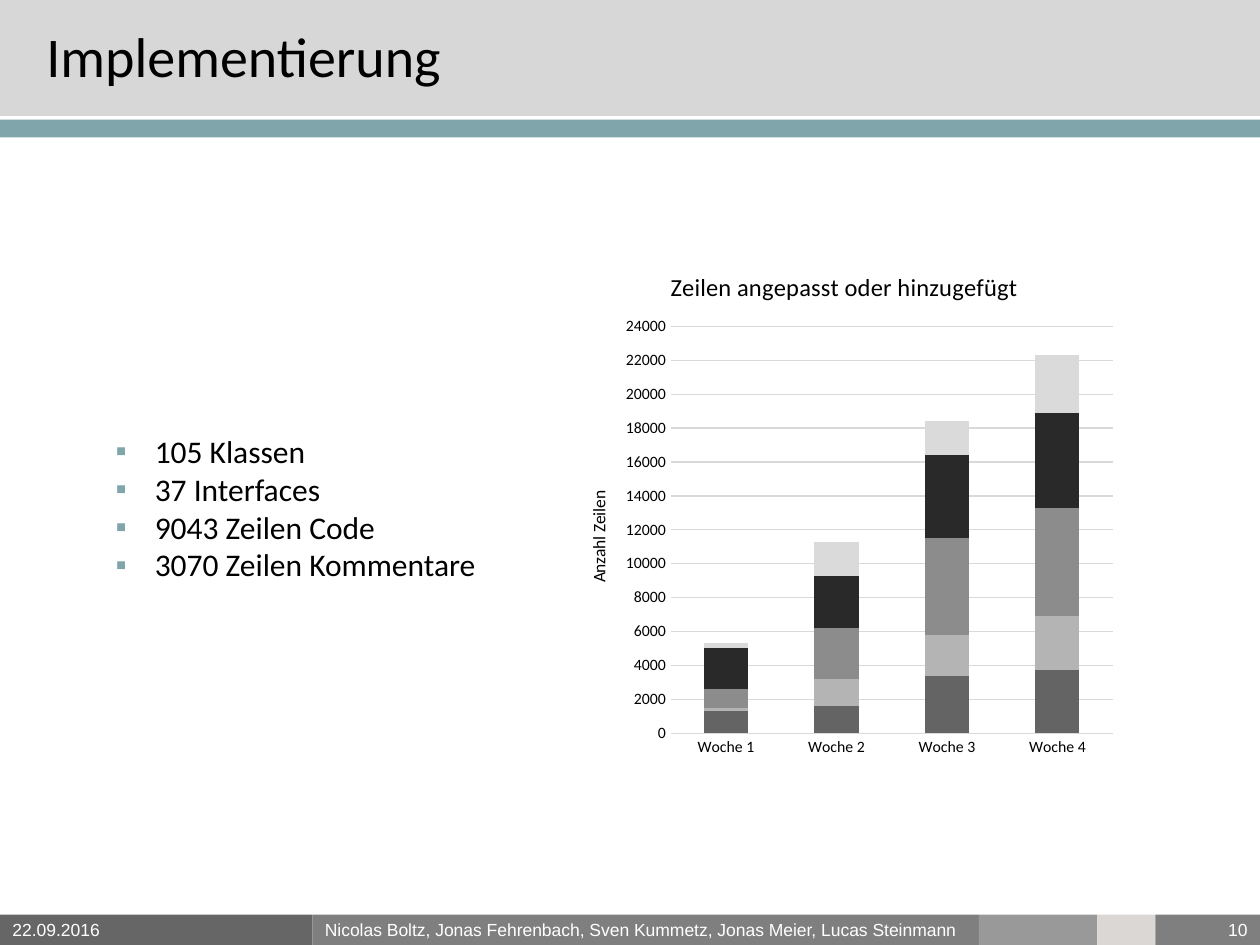
from dataclasses import dataclass

from lxml import etree
from pptx import Presentation
from pptx.chart.data import CategoryChartData
from pptx.dml.color import RGBColor
from pptx.enum.chart import XL_CHART_TYPE, XL_TICK_MARK
from pptx.enum.shapes import MSO_SHAPE
from pptx.enum.text import MSO_ANCHOR, PP_ALIGN
from pptx.oxml import parse_xml
from pptx.oxml.ns import nsdecls, qn
from pptx.util import Inches, Pt

RECTANGLE = MSO_SHAPE.RECTANGLE
STACKED = XL_CHART_TYPE.COLUMN_STACKED
NO_TICK = XL_TICK_MARK.NONE
TOP, MIDDLE = MSO_ANCHOR.TOP, MSO_ANCHOR.MIDDLE
LEFT, RIGHT = PP_ALIGN.LEFT, PP_ALIGN.RIGHT


@dataclass(frozen=True)
class Theme:
    body_font: str = "Calibri"
    footer_font: str = "Arial"
    text: str = "000000"
    footer_text: str = "FFFFFF"
    accent: str = "80A5AB"
    header: str = "D7D7D7"
    grid: str = "D9D9D9"
    title_size: int = 32
    body_size: int = 18
    chart_title_size: int = 14
    footer_size: int = 10
    axis_title_size: int = 10
    axis_size: int = 9


THEME = Theme()
TITLE = "Implementierung"
FACTS = ["105 Klassen", "37 Interfaces", "9043 Zeilen Code", "3070 Zeilen Kommentare"]
HEADER_BANDS = [(0, 0.92, THEME.header), (0.95, 0.14, THEME.accent)]
FOOTER = [
    (0, 2.48, "666666", "22.09.2016", LEFT),
    (2.48, 5.29, "7F7F7F", "Nicolas Boltz, Jonas Fehrenbach, Sven Kummetz, Jonas Meier, Lucas Steinmann", LEFT),
    (7.77, 0.94, "999999", "", LEFT),
    (8.71, 0.46, "DBD7D5", "", LEFT),
    (9.17, 0.83, "7F7F7F", "10", RIGHT),
]
CHART_TITLE = "Zeilen angepasst oder hinzugefügt"
AXIS_TITLE = "Anzahl Zeilen"
WEEKS = ["Woche 1", "Woche 2", "Woche 3", "Woche 4"]
SERIES = [
    ("Series 1", "646464", (1300, 1600, 3400, 3700)),
    ("Series 2", "B4B4B4", (200, 1600, 2400, 3200)),
    ("Series 3", "8C8C8C", (1100, 3000, 5700, 6400)),
    ("Series 4", "292929", (2400, 3100, 4900, 5600)),
    ("Series 5", "DADADA", (300, 2000, 2000, 3400)),
]
PLOT_AREA = {"x": 0.19, "y": 0.15, "w": 0.79, "h": 0.78}


def rgb(value):
    return RGBColor.from_string(value)


def style_font(font, size, color=THEME.text, name=THEME.body_font):
    font.size, font.name, font.bold = Pt(size), name, False
    font.color.rgb = rgb(color)


def write(frame, text, size, color=THEME.text, font=THEME.body_font,
          align=LEFT, anchor=MIDDLE, wrap=True, spacing=None, bullet=None):
    frame.word_wrap, frame.vertical_anchor = wrap, anchor
    for index, line in enumerate(text.split("\n")):
        para = frame.paragraphs[0] if index == 0 else frame.add_paragraph()
        para.alignment, para.line_spacing = align, spacing
        span = para.add_run()
        span.text = line
        style_font(span.font, size, color, font)
        if bullet:
            add_bullet(para, bullet)


def add_bullet(para, symbol):
    properties = para._p.get_or_add_pPr()
    properties.set("marL", str(Inches(0.31)))
    properties.set("indent", str(Inches(-0.31)))
    color = etree.SubElement(properties, qn("a:buClr"))
    etree.SubElement(color, qn("a:srgbClr"), val=THEME.accent)
    etree.SubElement(properties, qn("a:buFont"), typeface=THEME.footer_font)
    etree.SubElement(properties, qn("a:buChar"), char=symbol)


def add_band(page, left, top, width, height, fill):
    band = page.shapes.add_shape(RECTANGLE, Inches(left), Inches(top), Inches(width), Inches(height))
    band.shadow.inherit = False
    band.fill.solid()
    band.fill.fore_color.rgb = rgb(fill)
    band.line.fill.background()
    return band


def add_text(page, left, top, width, height, text, **style):
    box = page.shapes.add_textbox(Inches(left), Inches(top), Inches(width), Inches(height))
    write(box.text_frame, text, **style)


def style_line(line, color):
    line.color.rgb = rgb(color)
    line.width = Pt(0.75)


def place_plot(chart):
    plot_area = chart._chartSpace.chart.plotArea
    for old in plot_area.findall(qn("c:layout")):
        plot_area.remove(old)
    sizes = "".join(f'<c:{key} val="{value}"/>' for key, value in PLOT_AREA.items())
    plot_area.insert(0, parse_xml(
        f'<c:layout {nsdecls("c")}><c:manualLayout><c:layoutTarget val="inner"/>'
        f'<c:xMode val="edge"/><c:yMode val="edge"/>{sizes}</c:manualLayout></c:layout>'))


def add_lines_chart(page):
    data = CategoryChartData()
    data.categories = WEEKS
    for name, _, values in SERIES:
        data.add_series(name, values)
    chart = page.shapes.add_chart(
        STACKED, Inches(4.48), Inches(1.97), Inches(4.44), Inches(4.14), data).chart
    style_font(chart.font, THEME.axis_size)
    chart.has_legend = False
    chart.has_title = True
    write(chart.chart_title.text_frame, CHART_TITLE, THEME.chart_title_size, align=None)
    chart.chart_title.include_in_layout = False
    plot = chart.plots[0]
    plot.gap_width, plot.overlap, plot.vary_by_categories = 150, 100, False
    for series, (_, color, _) in zip(plot.series, SERIES):
        series.format.fill.solid()
        series.format.fill.fore_color.rgb = rgb(color)
    categories, values = chart.category_axis, chart.value_axis
    for axis in (categories, values):
        axis.major_tick_mark = axis.minor_tick_mark = NO_TICK
        style_font(axis.tick_labels.font, THEME.axis_size)
    style_line(categories.format.line, THEME.grid)
    values.minimum_scale, values.maximum_scale, values.major_unit = 0, 24000, 2000
    values.format.line.fill.background()
    style_line(values.major_gridlines.format.line, THEME.grid)
    axis_frame = values.axis_title.text_frame
    write(axis_frame, AXIS_TITLE, THEME.axis_title_size, align=None)
    axis_frame._txBody.bodyPr.set("rot", "-5400000")
    axis_frame._txBody.bodyPr.set("vert", "horz")
    place_plot(chart)


def main():
    deck = Presentation()
    deck.slide_width, deck.slide_height = Inches(10), Inches(7.5)
    page = deck.slides.add_slide(deck.slide_layouts[6])
    for left, width, fill, text, align in FOOTER:
        band = add_band(page, left, 7.26, width, 0.24, fill)
        if text:
            write(band.text_frame, text, THEME.footer_size, color=THEME.footer_text,
                  font=THEME.footer_font, align=align)
    for top, height, fill in HEADER_BANDS:
        add_band(page, 0, top, 10, height, fill)
    add_text(page, 0.27, 0, 9.57, 0.94, TITLE, size=THEME.title_size, spacing=0.9)
    add_lines_chart(page)
    add_text(page, 0.82, 3.38, 3.09, 1.31, "\n".join(FACTS), size=THEME.body_size,
             anchor=TOP, wrap=False, bullet="▪")
    deck.save("out.pptx")


if __name__ == "__main__":
    main()
